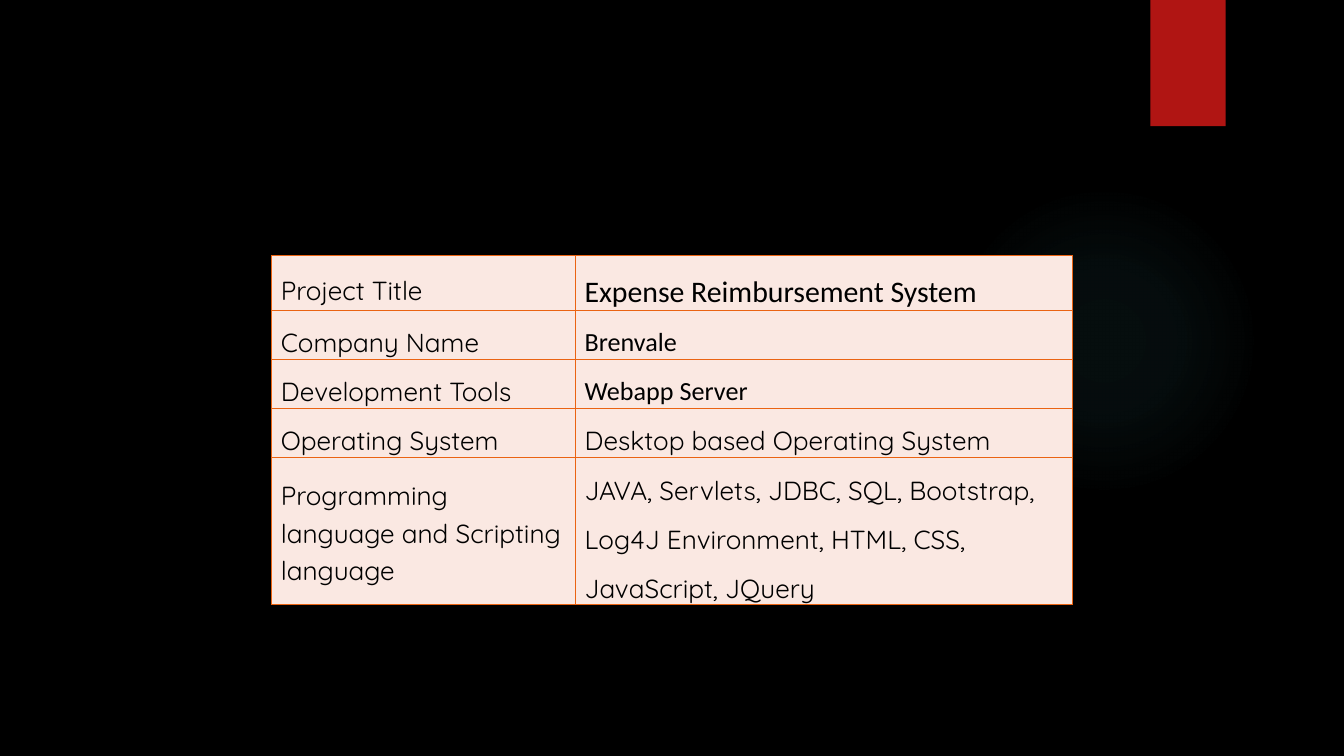
from dataclasses import dataclass

from lxml.etree import SubElement
from pptx import Presentation
from pptx.dml.color import RGBColor
from pptx.enum.shapes import MSO_SHAPE
from pptx.enum.text import MSO_ANCHOR
from pptx.oxml import parse_xml
from pptx.oxml.ns import nsdecls, qn
from pptx.util import Inches, Pt

BLACK = "000000"
RED = "B01513"
TEAL = "50B9C1"
ORANGE = "EA6312"
CELL_FILL = "FAE8E2"


@dataclass
class Entry:
    text: str
    font: str = "Quicksand"
    size: float = 14
    line_spacing: float = 1.5
    space_after: float = 3


@dataclass
class Row:
    label: Entry
    value: Entry
    height: float


ROWS = [
    Row(Entry("Project Title"),
        Entry("Expense Reimbursement System", "Calibri", 16), 0.2),
    Row(Entry("Company Name"), Entry("Brenvale", "Calibri"), 0.18),
    Row(Entry("Development Tools"), Entry("Webapp Server", "Calibri"), 0.18),
    Row(Entry("Operating System"), Entry("Desktop based Operating System"), 0.17),
    Row(Entry("Programming language and Scripting language",
              line_spacing=1.15, space_after=0),
        Entry("JAVA, Servlets, JDBC, SQL, Bootstrap, Log4J Environment, "
              "HTML, CSS, JavaScript, JQuery"), 0.56),
]
COLUMN_WIDTHS = [2.26, 3.7]


def paint(fill, color: str) -> None:
    fill.solid()
    fill.fore_color.rgb = RGBColor.from_string(color)


def add_plain_shape(page, kind, left: float, top: float, width: float, height: float):
    shape = page.shapes.add_shape(
        kind, Inches(left), Inches(top), Inches(width), Inches(height))
    shape.shadow.inherit = False
    shape.line.fill.background()
    return shape


def add_glow(page, left: float, top: float, size: float) -> None:
    """Draw a circle whose faint colour fades out towards its edge."""
    glow = add_plain_shape(page, MSO_SHAPE.OVAL, left, top, size, size)
    glow.fill.background()
    stops = "".join(
        f'<a:gs pos="{place * 1000}"><a:srgbClr val="{TEAL}">'
        f'<a:alpha val="{alpha * 1000}"/></a:srgbClr></a:gs>'
        for place, alpha in [(0, 7), (36, 6), (69, 0)])
    gradient = parse_xml(
        f'<a:gradFill {nsdecls("a")}><a:gsLst>{stops}</a:gsLst><a:path path="circle">'
        '<a:fillToRect l="50000" t="50000" r="50000" b="50000"/></a:path></a:gradFill>')
    properties = glow.element.spPr
    properties.replace(properties.find(qn("a:noFill")), gradient)


def set_borders(cell, color: str, width: float) -> None:
    properties = cell._tc.get_or_add_tcPr()
    for position, side in enumerate(["lnL", "lnR", "lnT", "lnB"]):
        line = SubElement(properties, qn(f"a:{side}"), w=str(Pt(width)))
        solid = SubElement(line, qn("a:solidFill"))
        SubElement(solid, qn("a:srgbClr"), val=color)
        # Borders must come before the cell's fill
        properties.insert(position, line)


def write_text(para, text: str, *, font: str, size: float, color: str = BLACK) -> None:
    span = para.add_run()
    span.text = text
    span.font.name = font
    span.font.size = Pt(size)
    span.font.color.rgb = RGBColor.from_string(color)


def fill_cell(cell, entry: Entry) -> None:
    paint(cell.fill, CELL_FILL)
    set_borders(cell, ORANGE, 0.75)
    cell.vertical_anchor = MSO_ANCHOR.MIDDLE
    cell.margin_left = cell.margin_right = Inches(0.07)
    cell.margin_top = cell.margin_bottom = 0
    para = cell.text_frame.paragraphs[0]
    para.line_spacing = entry.line_spacing
    para.space_before = Pt(3)
    para.space_after = Pt(entry.space_after)
    write_text(para, entry.text, font=entry.font, size=entry.size)


def add_project_table(page, rows: list[Row]) -> None:
    frame = page.shapes.add_table(len(rows), len(COLUMN_WIDTHS), Inches(2.02),
                                  Inches(1.9), Inches(5.97), Inches(2.31))
    table = frame.table
    table.first_row = table.horz_banding = False
    for column, width in zip(table.columns, COLUMN_WIDTHS):
        column.width = Inches(width)
    for index, row in enumerate(rows):
        table.rows[index].height = Inches(row.height)
        fill_cell(table.cell(index, 0), row.label)
        fill_cell(table.cell(index, 1), row.value)


def main() -> None:
    deck = Presentation()
    # Widescreen, 16:9
    deck.slide_width = Inches(10)
    deck.slide_height = Inches(10 * 9 / 16)
    page = deck.slides.add_slide(deck.slide_layouts[6])
    paint(page.background.fill, BLACK)

    # Backdrop: glow and red tab
    add_glow(page, 7.06, 1.38, 2.31)
    tab = add_plain_shape(page, MSO_SHAPE.RECTANGLE, 8.56, 0, 0.56, 0.94)
    paint(tab.fill, RED)

    # Project details
    add_project_table(page, ROWS)
    deck.save("out.pptx")


if __name__ == "__main__":
    main()
